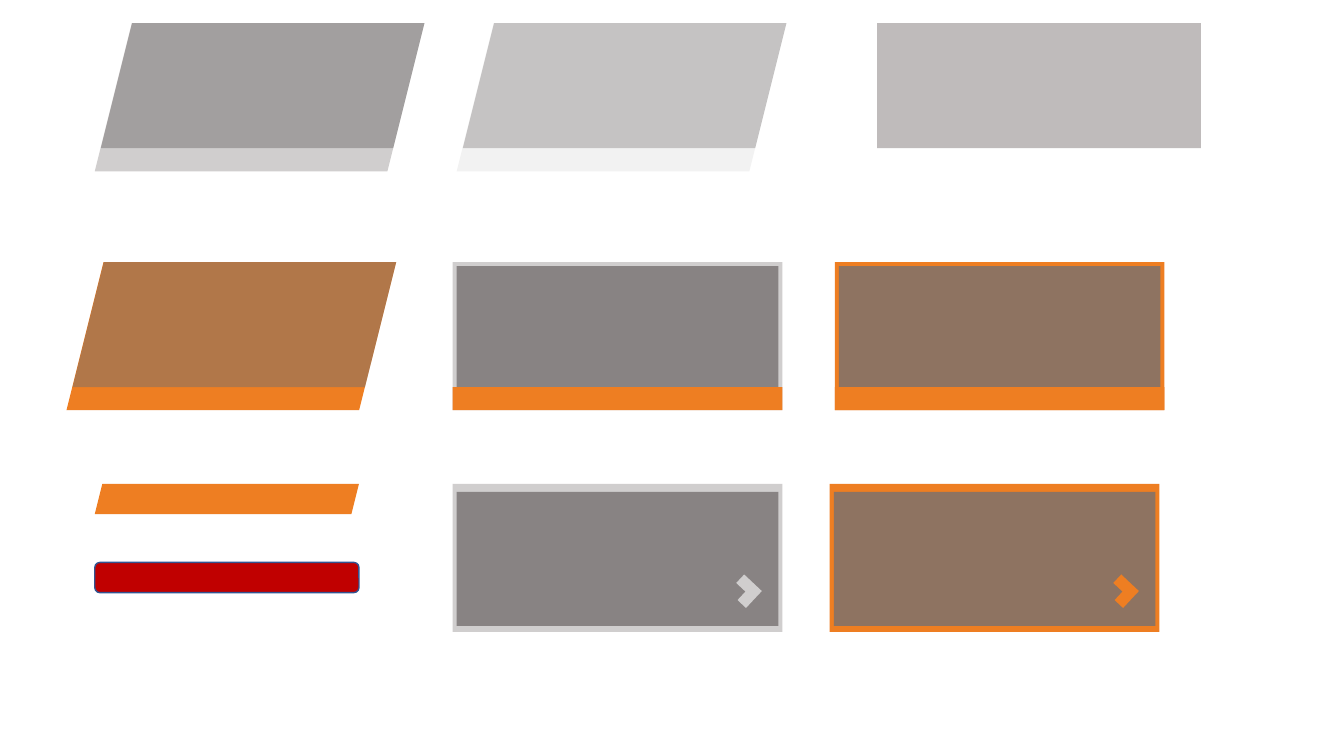
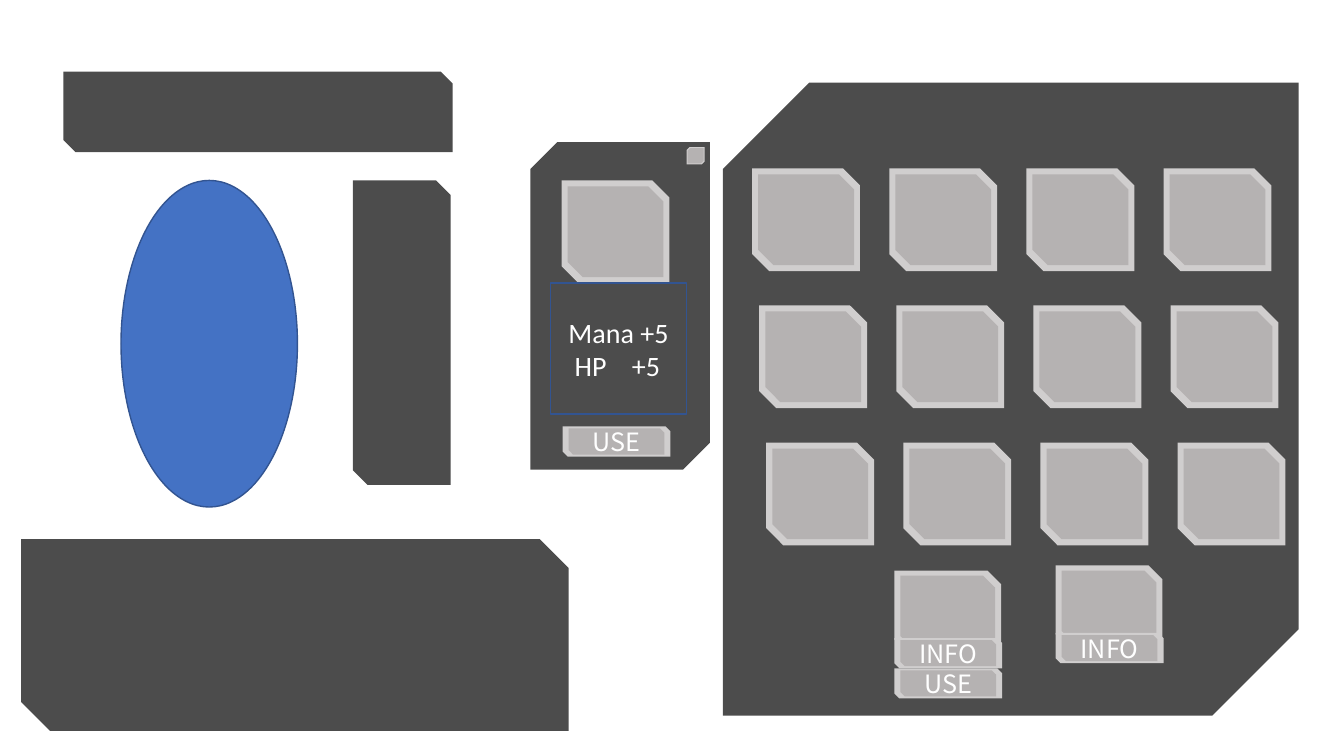
from lxml.etree import SubElement
from pptx import Presentation
from pptx.dml.color import RGBColor
from pptx.enum.shapes import MSO_SHAPE as SHAPE
from pptx.enum.text import MSO_ANCHOR, PP_ALIGN
from pptx.oxml.ns import qn
from pptx.util import Inches, Pt

COLORS = {
    "silver": "D0CECE", "pale": "F2F2F2", "orange": "EE7E22",
    "slate": "767171", "stone": "999595", "ash": "AFABAB",
    "black": "000000", "red": "C00000", "blue": "4472C4",
    "navy": "325491", "white": "FFFFFF",
}
SNIP = SHAPE.SNIP_2_DIAG_RECTANGLE
SLANT = SHAPE.PARALLELOGRAM
BOX = SHAPE.RECTANGLE
WIDE, TALL = 3.27, 1.47
TILE = (1.07, 1.02)
KEY = (1.07, 0.3)


def tint(name):
    return RGBColor.from_string(COLORS[name])


def draw(shapes, kind, x, y, w, h, color=None, alpha=100, line=None, snips=None):
    shape = shapes.add_shape(kind, Inches(x), Inches(y), Inches(w), Inches(h))
    shape.shadow.inherit = False
    if color:
        shape.fill.solid()
        shape.fill.fore_color.rgb = tint(color)
        if alpha < 100:
            node = shape.fill._xPr.find(".//" + qn("a:srgbClr"))
            SubElement(node, qn("a:alpha"), val=str(alpha * 1000))
    else:
        shape.fill.background()
    if line:
        shape.line.color.rgb = tint(line)
        shape.line.width = Pt(1)
    else:
        shape.line.fill.background()
    for i, snip in enumerate(snips or ()):
        shape.adjustments[i] = snip
    return shape


def write(shape, text, font, size):
    frame = shape.text_frame
    frame.text = text
    frame.vertical_anchor = MSO_ANCHOR.MIDDLE
    for para in frame.paragraphs:
        para.alignment = PP_ALIGN.CENTER
        for run in para.runs:
            run.font.name = font
            run.font.size = Pt(size)
            run.font.color.rgb = tint("white")


def set_tabs(para, stops):
    para.alignment = PP_ALIGN.LEFT
    tabs = SubElement(para._p.get_or_add_pPr(), qn("a:tabLst"))
    for stop in stops:
        SubElement(tabs, qn("a:tab"), pos=str(Inches(stop)), algn="l")


def slant(slide, x, y, edge, face):
    shapes = slide.shapes.add_group_shape().shapes
    draw(shapes, SLANT, x, y, WIDE, TALL, edge)
    draw(shapes, SLANT, x + 0.06, y, 3.21, 1.24, face, 50)


def panel(slide, x, y, edge, top, high):
    draw(slide.shapes, BOX, x, y, WIDE, TALL, edge)
    draw(slide.shapes, BOX, x + 0.04, y + top, 3.19, high, "slate", 80)


def strip_panel(slide, x, y, edge):
    panel(slide, x, y, edge, 0.04, 1.2)
    draw(slide.shapes, BOX, x, y + 1.24, WIDE, 0.23, "orange")


def arrow_panel(slide, x, y, edge):
    panel(slide, x, y, edge, 0.08, 1.33)
    arrow = draw(slide.shapes, SHAPE.CORNER, x + 2.78, y + 0.95, 0.24, 0.23, edge)
    arrow.rotation = 223.1


def plate(slide, x, y, w, h, snips=(0, 0.15)):
    draw(slide.shapes, SNIP, x, y, w, h, "black", 70, snips=snips)


def frame(slide, x, y, size, pad, snips=None):
    w, h = size
    dx, dy = pad
    shapes = slide.shapes.add_group_shape().shapes
    draw(shapes, SNIP, x, y, w, h, "silver", snips=snips)
    return draw(shapes, SNIP, x + dx, y + dy, w - 2 * dx, h - 2 * dy,
                "ash", 80, snips=snips)


def tile(slide, x, y):
    frame(slide, x, y, TILE, (0.06, 0.06))


def key(slide, x, y, text):
    write(frame(slide, x, y, KEY, (0.06, 0.02)), text, "Noto Sans CJK KR", 18)


def card(slide, x, y, labels):
    frame(slide, x, y, (1.06, 0.82), (0.06, 0.05))
    for i, label in enumerate(labels):
        key(slide, x, y + 0.67 + i * KEY[1], label)


def buttons(slide):
    slant(slide, 0.94, 0.23, "silver", "slate")
    slant(slide, 4.53, 0.23, "pale", "stone")
    slant(slide, 0.66, 2.6, "orange", "slate")
    strip_panel(slide, 4.49, 2.6, "silver")
    strip_panel(slide, 8.28, 2.6, "orange")
    draw(slide.shapes, BOX, 8.7, 0.23, 3.21, 1.24, "ash", 80)
    arrow_panel(slide, 4.49, 4.8, "silver")
    arrow_panel(slide, 8.23, 4.8, "orange")
    draw(slide.shapes, SLANT, 0.94, 4.8, 2.62, 0.3, "orange")
    draw(slide.shapes, SHAPE.ROUNDED_RECTANGLE, 0.94, 5.58, 2.62, 0.3,
         "red", line="navy")


def bag(slide):
    plate(slide, 7.17, 0.82, 5.71, 6.28, (0.15, 0))
    for row in range(3):
        for col in range(4):
            tile(slide, 7.46 + 1.36 * col + 0.07 * row, 1.67 + 1.36 * row)
    card(slide, 8.87, 5.66, ["INFO", "USE"])
    card(slide, 10.47, 5.61, ["INFO"])


def popup(slide):
    plate(slide, 5.26, 1.41, 1.78, 3.25, (0.15, 0))
    tile(slide, 5.57, 1.79)
    key(slide, 5.58, 4.23, "USE")
    stats = draw(slide.shapes, BOX, 5.46, 2.81, 1.35, 1.3, line="navy")
    write(stats, "Mana +5\n\tHP\t+5", "Calibri", 20)
    set_tabs(stats.text_frame.paragraphs[1], (0.14, 0.71))
    frame(slide, 6.81, 1.46, (0.18, 0.17), (0.01, 0.01), (0.17, 0))


def hero(slide):
    plate(slide, 0.21, 5.35, 5.43, 1.9)
    draw(slide.shapes, SHAPE.OVAL, 1.2, 1.79, 1.75, 3.24, "blue", line="navy")
    plate(slide, 0.63, 0.71, 3.86, 0.8)
    plate(slide, 3.5, 1.79, 0.97, 3.02)


def main():
    deck = Presentation()
    deck.slide_width = Inches(13.33)
    deck.slide_height = Inches(7.5)
    for parts in ([buttons], [bag, popup, hero]):
        slide = deck.slides.add_slide(deck.slide_layouts[6])
        for part in parts:
            part(slide)
    deck.save("out.pptx")


if __name__ == "__main__":
    main()
